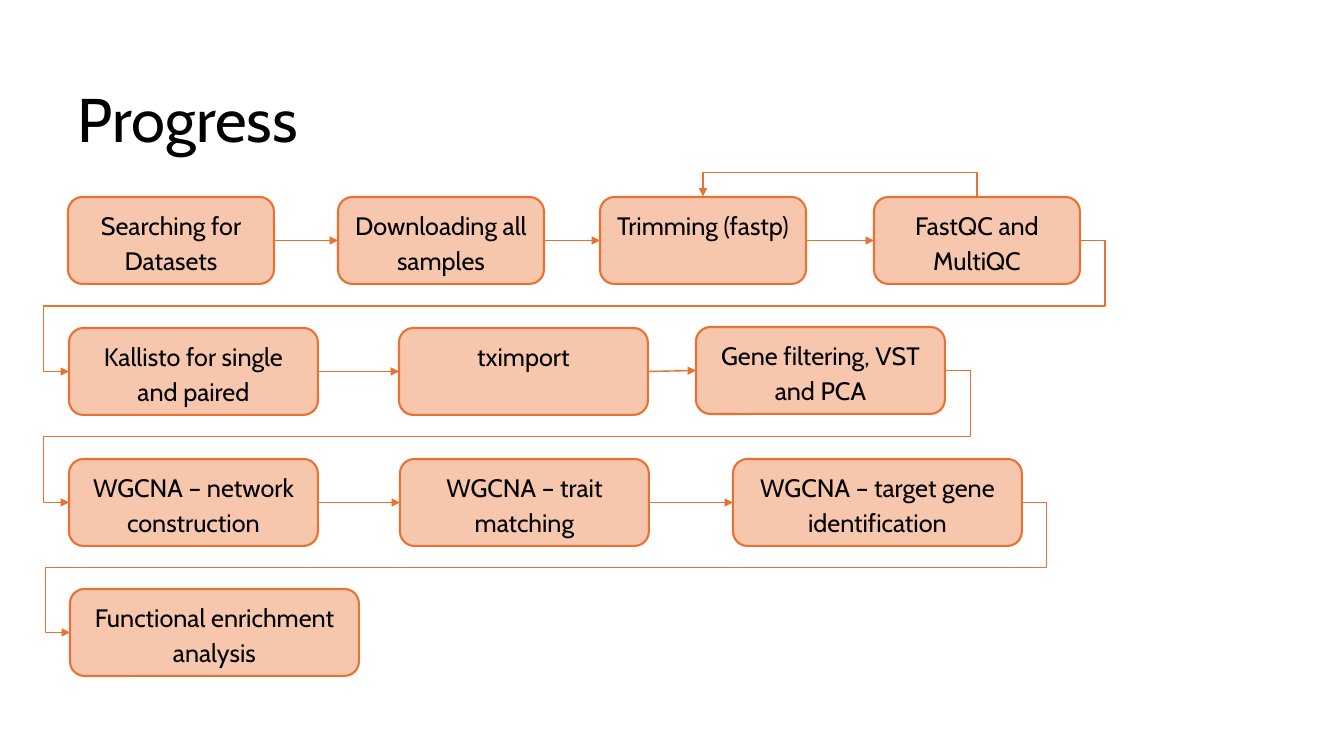
from pptx import Presentation
from pptx.dml.color import RGBColor
from pptx.enum.shapes import MSO_CONNECTOR, MSO_SHAPE
from pptx.enum.text import MSO_ANCHOR, PP_ALIGN
from pptx.oxml.ns import qn
from pptx.util import Pt
from lxml import etree

ROUND = MSO_SHAPE.ROUNDED_RECTANGLE
STRAIGHT, ELBOW = MSO_CONNECTOR.STRAIGHT, MSO_CONNECTOR.ELBOW
MIDDLE, CENTER = MSO_ANCHOR.MIDDLE, PP_ALIGN.CENTER
LEFT, RIGHT = 1, 3  # connection sites of a box
PX = 914400 / 100.8
BEND = 25  # how far an elbow stands out from its box
COLORS = {name: RGBColor.from_string(code) for name, code in {
    "fill": "F6C6AD", "line": "E97132", "text": "000000"}.items()}

deck = Presentation()
deck.slide_width, deck.slide_height = round(1344 * PX), round(756 * PX)
slide = deck.slides.add_slide(deck.slide_layouts[6])


def write(shape, text, size, spacing):
    frame = shape.text_frame
    frame.word_wrap = True
    line = frame.paragraphs[0]
    line.text = text
    line.line_spacing = spacing
    line.font.name = "Cabin"
    line.font.size = Pt(size)
    line.font.color.rgb = COLORS["text"]
    return frame


def arrow(kind, ends, preset=None, bends=()):
    """Draw an arrow; bends are the preset's adjust values as shares of its width."""
    link = slide.shapes.add_connector(kind, *[round(v * PX) for v in ends])
    link.line.color.rgb = COLORS["line"]
    link.line.width = Pt(1)
    tip = etree.SubElement(link.line._get_or_add_ln(), qn("a:tailEnd"))
    tip.set("type", "triangle")
    props = link._element.spPr
    etree.SubElement(props, qn("a:effectLst"))
    if preset:
        shape = props.find(qn("a:prstGeom"))
        shape.set("prst", preset)
        guides = shape.find(qn("a:avLst"))
        for i, bend in enumerate(bends, 1):
            name = "adj1" if len(bends) == 1 else f"adj{i}"
            etree.SubElement(guides, qn("a:gd"), name=name,
                             fmla=f"val {round(bend * 100000)}")
    return link


title = slide.shapes.add_textbox(*[round(v * PX) for v in (68, 50, 1159, 146)])
write(title, "Progress", 44, 0.9).vertical_anchor = MIDDLE

# Each step: left, top, width, text
HIGH = 87
ROWS = [
    [(68, 197, 206, "Searching for Datasets"),
     (338, 197, 206, "Downloading all samples"),
     (600, 197, 206, "Trimming (fastp)"),
     (874, 197, 206, "FastQC and MultiQC")],
    [(69, 328, 249, "Kallisto for single and paired"),
     (399, 328, 249, "tximport"),
     (696, 327, 249, "Gene filtering, VST and PCA")],
    [(69, 459, 249, "WGCNA – network construction"),
     (400, 459, 249, "WGCNA – trait matching"),
     (733, 459, 289, "WGCNA – target gene identification")],
    [(70, 589, 289, "Functional enrichment analysis")],
]

last = None
for row in ROWS:
    for place, (x, y, wide, text) in enumerate(row):
        box = slide.shapes.add_shape(
            ROUND, *[round(v * PX) for v in (x, y, wide, HIGH)])
        box.shadow.inherit = False
        box.fill.solid()
        box.fill.fore_color.rgb = COLORS["fill"]
        box.line.color.rgb = COLORS["line"]
        box.line.width = Pt(1.5)
        frame = write(box, text, 18, 1.14)
        frame.vertical_anchor = MSO_ANCHOR.TOP
        frame.paragraphs[0].alignment = CENTER
        if last:
            prior, edge, level = last
            ends = (edge, level, x, y + HIGH / 2)
            if place:
                link = arrow(STRAIGHT, ends)
            else:
                out = BEND / (edge - x)
                link = arrow(ELBOW, ends, "bentConnector5", (-out, 0.5, 1 + out))
            link.begin_connect(prior, RIGHT)
            link.end_connect(box, LEFT)
        last = box, x + wide, y + HIGH / 2

# Loop from quality control back to trimming: a tall, 1 px wide elbow turned left
trim, check = [x + wide / 2 for x, y, wide, text in ROWS[0][2:]]
mid, half, top = (trim + check) / 2, (check - trim) / 2, ROWS[0][0][1]
loop = arrow(ELBOW, (mid - 0.5, top + half, mid + 0.5, top - half),
             "bentConnector3", (BEND,))
loop._element.spPr.find(qn("a:xfrm")).set("rot", str(270 * 60000))

deck.save("out.pptx")
